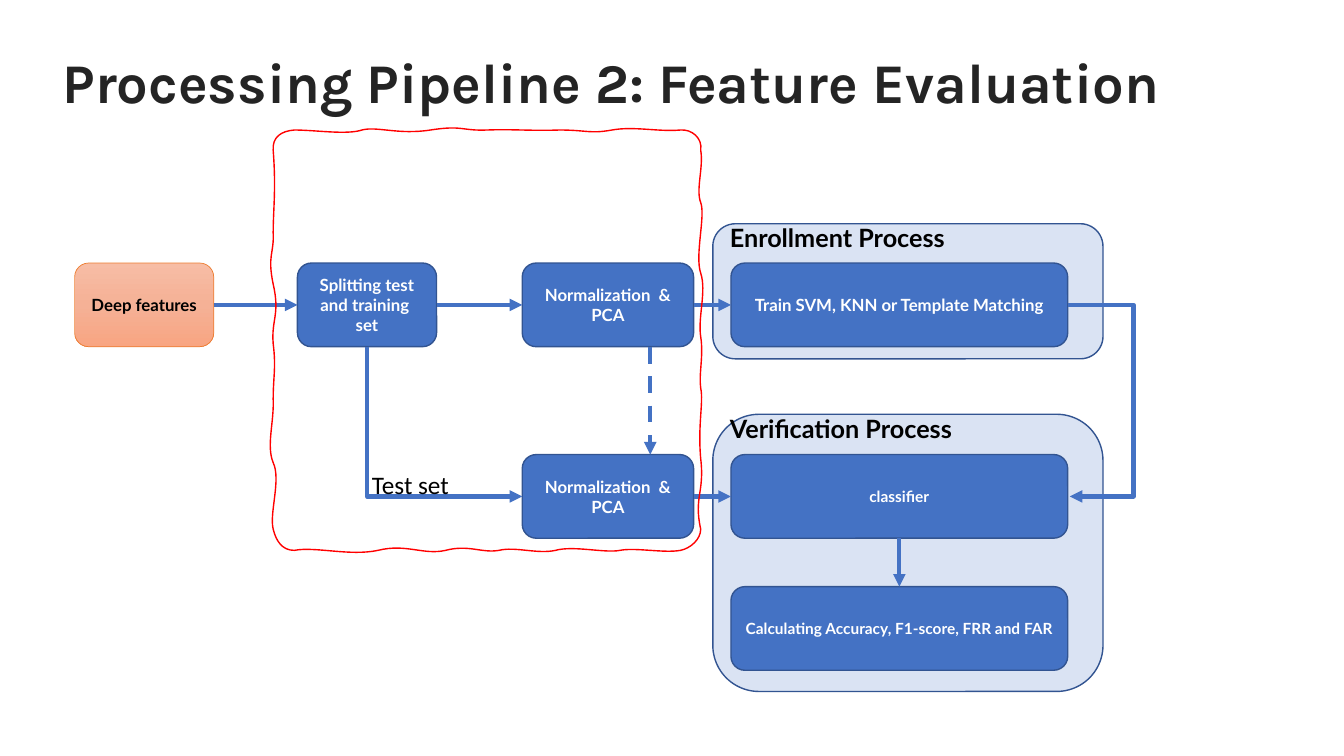
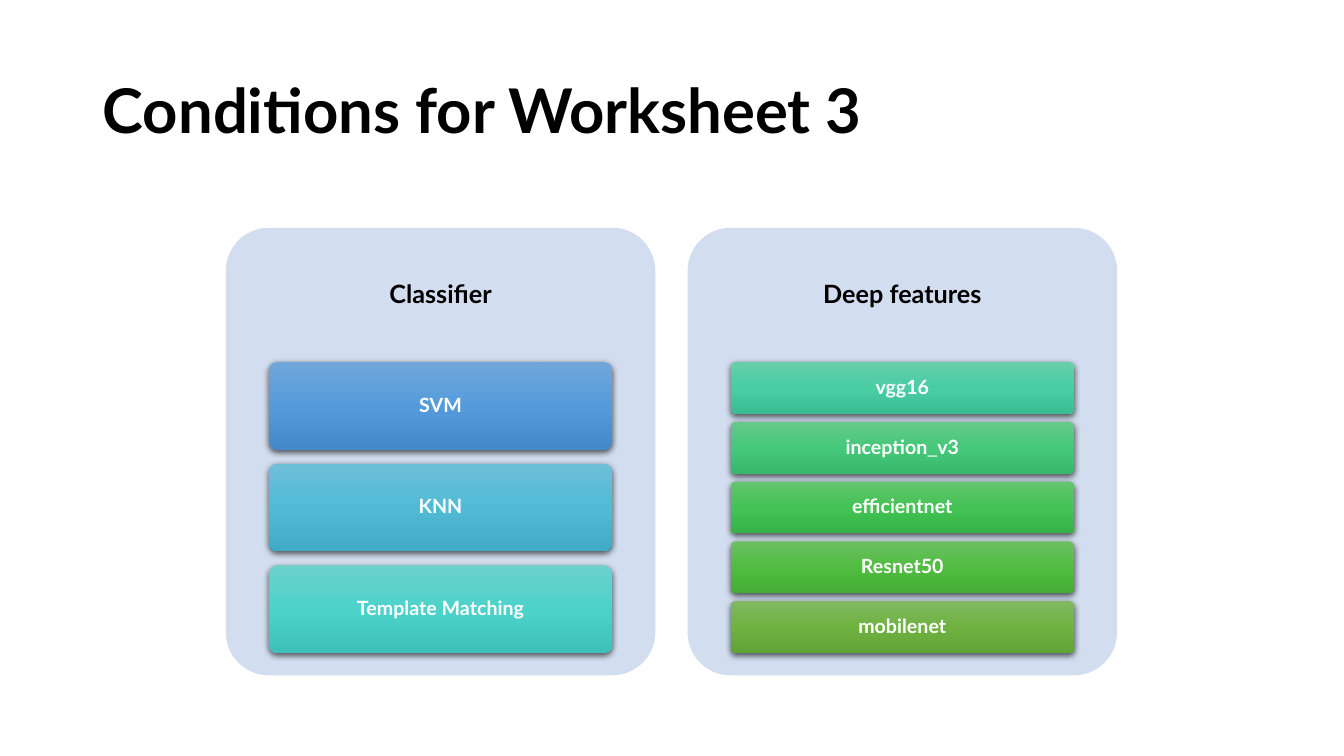
from collections import namedtuple
from copy import deepcopy

from pptx import Presentation
from pptx.dml.color import RGBColor
from pptx.enum.dml import MSO_LINE
from pptx.enum.shapes import MSO_CONNECTOR, MSO_SHAPE
from pptx.enum.text import MSO_ANCHOR, PP_ALIGN
from pptx.oxml import parse_xml
from pptx.oxml.ns import nsdecls, qn
from pptx.util import Inches, Pt

# Shared look
COLOURS = {
    "white": "FFFFFF", "black": "000000", "charcoal": "242424",
    "blue": "4472C4", "navy": "325491", "pale": "DAE3F3",
    "panel": "D2DEEF", "orange": "ED7D31", "red": "FF0000",
}
GRADIENTS = {
    "peach": ("F7BDA5", "F5B196", "F8A582"),
    "sky": ("71A6DB", "559BDB", "448ACA"),
    "cyan": ("6EBFD7", "51BBD7", "41AAC6"),
    "turquoise": ("6BD2CC", "4DD2CA", "3DC1B9"),
    "mint": ("68CEAA", "49CDA2", "3ABD92"),
    "jade": ("66C98A", "46C87A", "37B86B"),
    "green": ("64C46F", "43C354", "35B346"),
    "leaf": ("6CBF62", "51BC41", "45AC35"),
    "olive": ("81B861", "6FB242", "62A336"),
}
FONT = {"name": "Lato", "bold": True}
TITLE_SIZE = (11.5, 1.45)

# Pipeline grid: (left, width) of each column, top of each row
COLUMNS = {"input": (0.74, 1.38), "split": (2.95, 1.38),
           "scale": (5.18, 1.7), "model": (7.25, 3.34)}
ROWS = {"train": 2.61, "test": 4.51, "score": 5.82}
ROW_HEIGHT = 0.83
TOP, LEFT, BOTTOM, RIGHT = range(4)

# Hand-drawn outline: start, then two handles and an end per curve,
# in hundredths of an inch from the corner of the frame
SKETCH_START = (0, 20)
SKETCH_CURVES = [
    (-1, 7, 8, 1, 21, 0), (42, 0, 73, 5, 88, 0),
    (103, -4, 124, 5, 156, 0), (188, -5, 187, 1, 212, 0),
    (237, -1, 256, 1, 284, 0), (311, 0, 314, 4, 336, 0),
    (358, -4, 382, 2, 404, 0), (415, -1, 426, 8, 424, 20),
    (427, 37, 419, 59, 424, 72), (429, 85, 418, 124, 424, 142),
    (430, 160, 421, 186, 424, 205), (427, 224, 422, 242, 424, 256),
    (427, 270, 421, 292, 424, 326), (428, 360, 417, 364, 424, 396),
    (424, 406, 414, 415, 404, 417), (388, 420, 359, 414, 344, 417),
    (329, 420, 298, 412, 280, 417), (262, 421, 240, 413, 224, 417),
    (207, 420, 194, 411, 171, 417), (149, 422, 132, 410, 104, 417),
    (76, 423, 42, 413, 21, 417), (9, 417, 3, 408, 0, 396),
    (-4, 380, 8, 347, 0, 330), (-7, 313, 1, 290, 0, 267),
    (0, 245, 3, 236, 0, 212), (-2, 188, 7, 183, 0, 153),
    (-6, 124, 1, 123, 0, 102), (0, 79, 3, 59, 0, 20),
]

Box = namedtuple("Box", "left top width height")


def share(box, left, top, width, height):
    """Return the part of a box given by shares of its size."""
    return Box(box.left + left * box.width, box.top + top * box.height,
               width * box.width, height * box.height)


def inches(values):
    return [Inches(value) for value in values]


def rgb(name):
    return RGBColor.from_string(COLOURS[name])


def write(frame, text, size, colour="white", align=PP_ALIGN.CENTER,
          anchor=MSO_ANCHOR.MIDDLE, spacing=None, **font):
    """Write one paragraph; underscores are set in plain Calibri."""
    frame.word_wrap = True
    frame.vertical_anchor = anchor
    para = frame.paragraphs[0]
    para.alignment = align
    para.line_spacing = spacing
    for piece in filter(None, text.partition("_")):
        span = para.add_run()
        span.text = piece
        plain = {"name": "Calibri", "bold": False} if piece == "_" else {}
        style = {**FONT, "size": Pt(size), **font, **plain}
        for key, value in style.items():
            setattr(span.font, key, value)
        span.font.color.rgb = rgb(colour)


def add_title(page, left, top, text, size, colour, font="Lato"):
    title = page.shapes.title
    places = inches((left, top, *TITLE_SIZE))
    for key, value in zip(("left", "top", "width", "height"), places):
        setattr(title, key, value)
    write(title.text_frame, text, size, colour, PP_ALIGN.LEFT,
          spacing=0.9, name=font)


def add_label(page, box, text, size=18, **style):
    label = page.shapes.add_textbox(*inches(box))
    write(label.text_frame, text, size, "black", **style)


def paint_gradient(shape, colours):
    fill = shape.fill
    fill.gradient()
    fill.gradient_angle = 270
    stops = shape._element.spPr.find(".//" + qn("a:gsLst"))
    stops.append(deepcopy(stops[-1]))
    for stop, colour, position in zip(fill.gradient_stops, colours, (0, 0.5, 1)):
        stop.color.rgb = RGBColor.from_string(colour)
        stop.position = position


def add_card(page, box, fill, line=None, weight=1, corner=None):
    card = page.shapes.add_shape(MSO_SHAPE.ROUNDED_RECTANGLE, *inches(box))
    card.shadow.inherit = False
    if corner is not None:
        card.adjustments[0] = corner
    if fill in GRADIENTS:
        paint_gradient(card, GRADIENTS[fill])
    else:
        card.fill.solid()
        card.fill.fore_color.rgb = rgb(fill)
    if line:
        card.line.color.rgb = rgb(line)
        card.line.width = Pt(weight)
    else:
        card.line.fill.background()
    return card


def add_shadow(shape):
    shape._element.spPr.find(qn("a:effectLst")).append(parse_xml(
        f'<a:outerShdw {nsdecls("a")} blurRad="{Pt(4.5)}" dist="{Pt(1.5)}" '
        'dir="5400000" algn="ctr" rotWithShape="0">'
        '<a:srgbClr val="000000"><a:alpha val="63000"/></a:srgbClr>'
        '</a:outerShdw>'))


# Arrows
def add_arrow(page, start=(0, 0), end=(0, 0), bend=0.5, dashed=False):
    """Draw an elbow arrow; bend is the share of its width where it turns."""
    arrow = page.shapes.add_connector(MSO_CONNECTOR.ELBOW,
                                      *inches((*start, *end)))
    arrow.line.color.rgb = rgb("blue")
    arrow.line.width = Pt(3)
    if dashed:
        arrow.line.dash_style = MSO_LINE.DASH
    outline = arrow.line._get_or_add_ln()
    outline.append(parse_xml(f'<a:tailEnd {nsdecls("a")} type="triangle"/>'))
    properties = arrow._element.spPr
    properties.append(parse_xml(f'<a:effectLst {nsdecls("a")}/>'))
    properties.find(".//" + qn("a:avLst")).append(parse_xml(
        f'<a:gd {nsdecls("a")} name="adj1" fmla="val {round(bend * 100000)}"/>'))
    return arrow


def join(page, source, target, leave=RIGHT, enter=LEFT):
    arrow = add_arrow(page)
    arrow.begin_connect(source, leave)
    arrow.end_connect(target, enter)


# Pipeline slide
def add_step(page, column, row, text, size=12, fill="blue", line="navy",
             weight=1, colour="white"):
    left, width = COLUMNS[column]
    step = add_card(page, Box(left, ROWS[row], width, ROW_HEIGHT),
                    fill, line, weight)
    write(step.text_frame, text, size, colour)
    return step


def add_process(page, box, heading):
    add_card(page, box, "pale", "navy")
    add_label(page, Box(box.left + 0.07, box.top - 0.06, 2.52, 0.4),
              heading, align=PP_ALIGN.LEFT, anchor=MSO_ANCHOR.TOP)


def add_sketch_frame(page, left, top):
    def place(x, y):
        return Inches(left + x / 100), Inches(top + y / 100)

    builder = page.shapes.build_freeform(*place(*SKETCH_START))
    builder.add_line_segments([place(*curve[4:]) for curve in SKETCH_CURVES],
                              close=True)
    frame = builder.convert_to_shape()
    # Turn each straight segment into a curve
    segments = frame._element.spPr.findall(".//" + qn("a:lnTo"))
    for segment, curve in zip(segments, SKETCH_CURVES):
        points = "".join(
            f'<a:pt x="{Inches(x / 100)}" y="{Inches(y / 100)}"/>'
            for x, y in zip(curve[::2], curve[1::2]))
        segment.getparent().replace(segment, parse_xml(
            f'<a:cubicBezTo {nsdecls("a")}>{points}</a:cubicBezTo>'))
    frame.shadow.inherit = False
    frame.fill.background()
    frame.line.color.rgb = rgb("red")
    frame.line.width = Pt(1)


def build_pipeline(page):
    add_title(page, 0.52, 0.12, "Processing Pipeline 2: Feature Evaluation",
              40, "charcoal", "Karla")
    add_process(page, Box(7.07, 2.22, 3.87, 1.34), "Enrollment Process")
    add_process(page, Box(7.07, 4.11, 3.87, 2.75), "Verification Process")

    # Steps
    features = add_step(page, "input", "train", "Deep features", fill="peach",
                        line="orange", weight=0.5, colour="black")
    split = add_step(page, "split", "train", "Splitting test and training  set")
    scale_train, scale_test = (
        add_step(page, "scale", row, "Normalization  & PCA")
        for row in ("train", "test"))
    train = add_step(page, "model", "train",
                     "Train SVM, KNN or Template Matching")
    classify = add_step(page, "model", "test", "classifier", 11)
    score = add_step(page, "model", "score",
                     "Calculating Accuracy, F1-score, FRR and FAR", 11)

    # Straight flow
    for source, target in ((features, split), (split, scale_train),
                           (scale_train, train), (scale_test, classify)):
        join(page, source, target)
    join(page, classify, score, BOTTOM, TOP)

    # Flow from the training row to the test row
    train_middle, test_middle = (ROWS[row] + ROW_HEIGHT / 2
                                 for row in ("train", "test"))
    train_bottom = ROWS["train"] + ROW_HEIGHT
    split_left, split_width = COLUMNS["split"]
    add_arrow(page, (split_left + split_width / 2, train_bottom),
              (COLUMNS["scale"][0], test_middle), bend=0)
    add_arrow(page, (6.45, train_bottom), (6.45, ROWS["test"]), dashed=True)
    model_right = sum(COLUMNS["model"])
    add_arrow(page, (model_right, train_middle),
              (model_right + 0.02, test_middle), bend=0.65 / 0.02)

    add_label(page, Box(3.59, 4.61, 1, 0.4), "Test set", name="Calibri",
              bold=False, align=PP_ALIGN.LEFT, anchor=MSO_ANCHOR.TOP)
    add_sketch_frame(page, 2.71, 1.29)


# Conditions slide
def add_panel(page, box, heading, gap, bars):
    """Stack bars under a heading; gap is a share of a bar's height."""
    add_card(page, box, "panel", corner=0.1)
    add_label(page, share(box, 0, 0, 1, 0.3), heading, spacing=0.9)
    area = share(box, 0.1, 0.3, 0.8, 0.65)
    height = 1 / (len(bars) + gap * (len(bars) - 1))
    for index, (text, fill) in enumerate(bars):
        place = share(area, 0, index * height * (1 + gap), 1, height)
        bar = add_card(page, place, fill, corner=0.1)
        add_shadow(bar)
        write(bar.text_frame, text, 14, spacing=0.9)


def build_conditions(page):
    add_title(page, 0.92, 0.4, "Conditions for Worksheet 3", 44, "black")
    panels = [
        ("Classifier", 0.16, [("SVM", "sky"), ("KNN", "cyan"),
                              ("Template Matching", "turquoise")]),
        ("Deep features", 0.15, [("vgg16", "mint"), ("inception_v3", "jade"),
                                 ("efficientnet", "green"),
                                 ("Resnet50", "leaf"),
                                 ("mobilenet", "olive")]),
    ]
    for index, panel in enumerate(panels):
        add_panel(page, Box(2.24 + index * 4.58, 2.26, 4.26, 4.44), *panel)


def main():
    deck = Presentation()
    deck.slide_width, deck.slide_height = inches((13.33, 7.5))
    title_only = deck.slide_layouts[5]
    for build in (build_pipeline, build_conditions):
        build(deck.slides.add_slide(title_only))
    deck.save("out.pptx")


if __name__ == "__main__":
    main()
